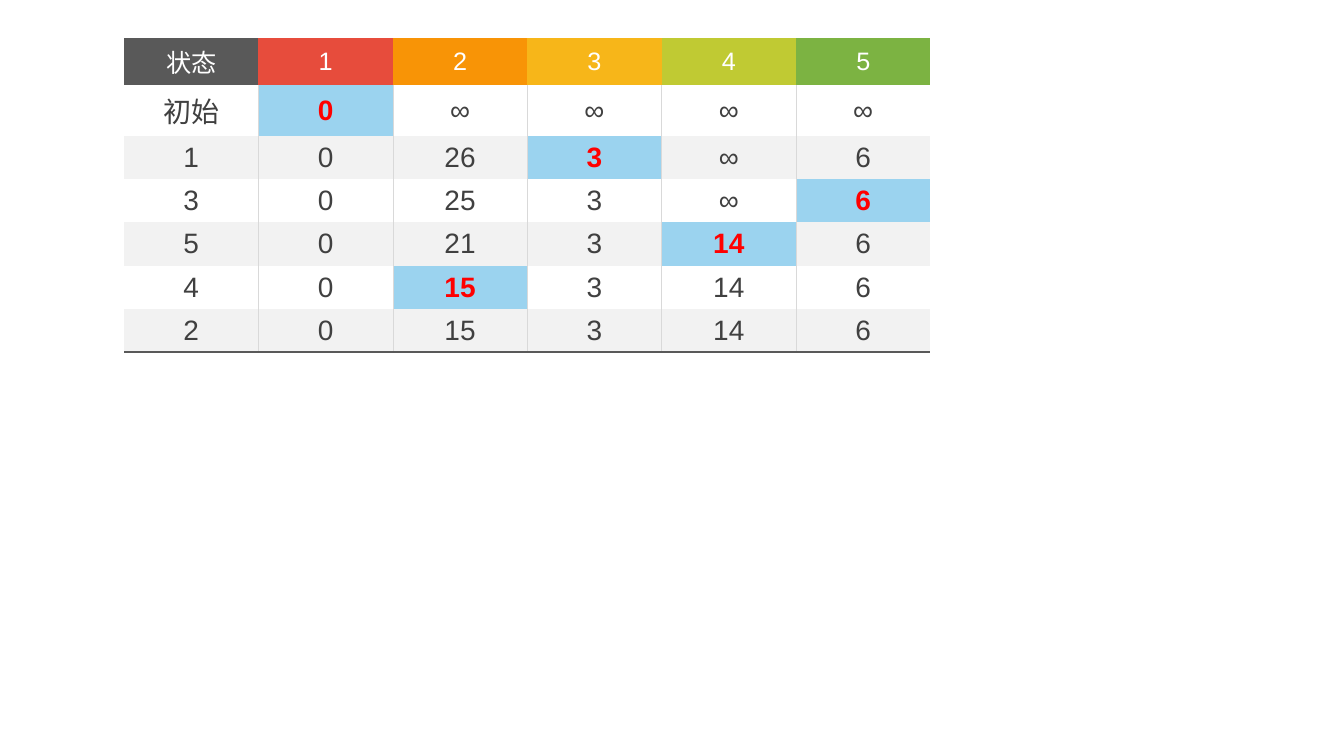
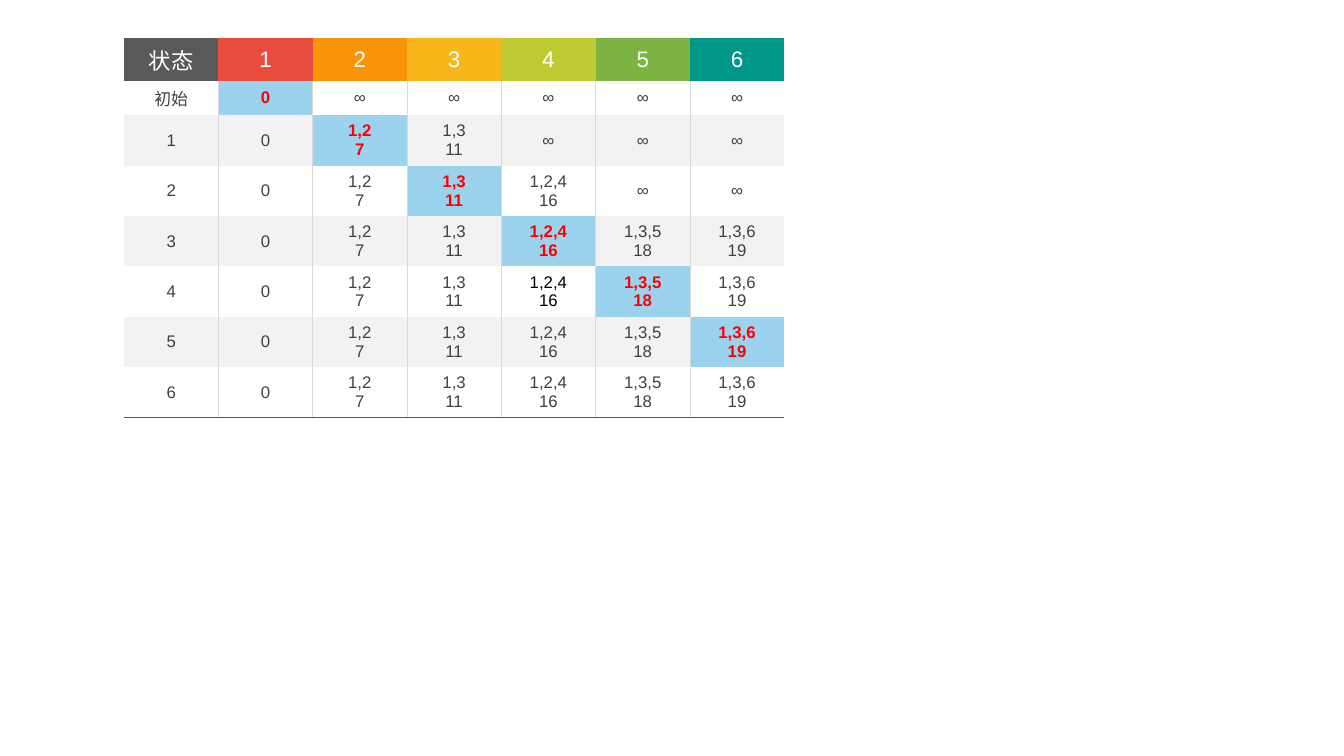
from lxml import etree
from pptx import Presentation, util as u
from pptx.dml import color
from pptx.enum import text
from pptx.oxml import ns

# Shared look
FONT = "Arial"
HEADER_FILLS = ["595959", "E74C3C", "F89406", "F7B619", "C0CA33", "7CB342", "009688"]
HEADER_TEXT, BODY_TEXT, BLACK = "FFFFFF", "404040", "000000"
CHOSEN_TEXT, CHOSEN_FILL = "FF0000", "9BD3EF"
ROW_FILLS = ["F2F2F2", "FFFFFF"]
GRID_LINE, END_LINE = "D9D9D9", "595959"
NO_GRID_STYLE = "{2D5ABB26-0587-4C30-8999-92F81FD0307C}"
TABLE_LEFT, TABLE_TOP = 1.23, 0.38

# Shortest distances per step; "/" parts the route from its length
DISTANCES = [
    "状态 1 2 3 4 5",
    "初始 0 ∞ ∞ ∞ ∞",
    "1 0 26 3 ∞ 6",
    "3 0 25 3 ∞ 6",
    "5 0 21 3 14 6",
    "4 0 15 3 14 6",
    "2 0 15 3 14 6",
]
ROUTES = [
    "状态 1 2 3 4 5 6",
    "初始 0 ∞ ∞ ∞ ∞ ∞",
    "1 0 1,2/7 1,3/11 ∞ ∞ ∞",
    "2 0 1,2/7 1,3/11 1,2,4/16 ∞ ∞",
    "3 0 1,2/7 1,3/11 1,2,4/16 1,3,5/18 1,3,6/19",
    "4 0 1,2/7 1,3/11 1,2,4/16 1,3,5/18 1,3,6/19",
    "5 0 1,2/7 1,3/11 1,2,4/16 1,3,5/18 1,3,6/19",
    "6 0 1,2/7 1,3/11 1,2,4/16 1,3,5/18 1,3,6/19",
]


def rgb(value):
    return color.RGBColor.from_string(value)


def add_border(cell, side, line_color, points):
    props = cell._tc.get_or_add_tcPr()
    line = etree.SubElement(props, ns.qn(f"a:ln{side}"), w=str(u.Pt(points)))
    solid = etree.SubElement(line, ns.qn("a:solidFill"))
    etree.SubElement(solid, ns.qn("a:srgbClr"), val=line_color)


def write_cell(cell, content, size, text_color, fill, bold=False):
    cell.fill.solid()
    cell.fill.fore_color.rgb = rgb(fill)
    cell.vertical_anchor = text.MSO_ANCHOR.MIDDLE
    frame = cell.text_frame
    for i, part in enumerate(content.split("/")):
        paragraph = frame.add_paragraph() if i else frame.paragraphs[0]
        paragraph.alignment = text.PP_ALIGN.CENTER
        run = paragraph.add_run()
        run.text = part
        run.font.name = FONT
        run.font.size = u.Pt(size)
        run.font.bold = bold
        run.font.color.rgb = rgb(text_color)


def draw_borders(cell, row, col, last_row, last_col):
    """Thin column rules in the body, heavier after the state column."""
    if row and col:
        add_border(cell, "L", GRID_LINE, 1 if col == 1 else 0.5)
    if row and col < last_col:
        add_border(cell, "R", GRID_LINE, 0.5 if col else 1)
    if row == last_row:
        add_border(cell, "B", END_LINE, 1.5)


def add_state_table(prs, lines, width, heights, header_size, body_size, black_cell=None):
    slide = prs.slides.add_slide(prs.slide_layouts[6])
    rows = [line.split() for line in lines]
    last_row, last_col = len(rows) - 1, len(rows[0]) - 1
    frame = slide.shapes.add_table(
        len(rows), len(rows[0]), u.Inches(TABLE_LEFT), u.Inches(TABLE_TOP),
        u.Inches(width), u.Inches(sum(heights)))
    table = frame.table
    table.first_row = table.horz_banding = False
    table._tbl.tblPr.find(ns.qn("a:tableStyleId")).text = NO_GRID_STYLE
    for table_row, height in zip(table.rows, heights):
        table_row.height = u.Inches(height)

    for r, values in enumerate(rows):
        # The node chosen in a step names the state of the next row
        chosen = int(rows[r + 1][0]) if 0 < r < last_row else None
        for c, value in enumerate(values):
            cell = table.cell(r, c)
            draw_borders(cell, r, c, last_row, last_col)
            if r == 0:
                write_cell(cell, value, header_size, HEADER_TEXT, HEADER_FILLS[c])
            elif c == chosen:
                write_cell(cell, value, body_size, CHOSEN_TEXT, CHOSEN_FILL, bold=True)
            else:
                text_color = BLACK if (r, c) == black_cell else BODY_TEXT
                write_cell(cell, value, body_size, text_color, ROW_FILLS[r % 2])


def main():
    prs = Presentation()
    prs.slide_width, prs.slide_height = u.Inches(13.33), u.Inches(7.5)
    add_state_table(prs, DISTANCES, 8, [0.42] + [0.43] * 6, 18, 20)
    add_state_table(prs, ROUTES, 6.55, [0.37, 0.32] + [0.5] * 6, 16, 12, black_cell=(5, 4))
    prs.save("out.pptx")


if __name__ == "__main__":
    main()
